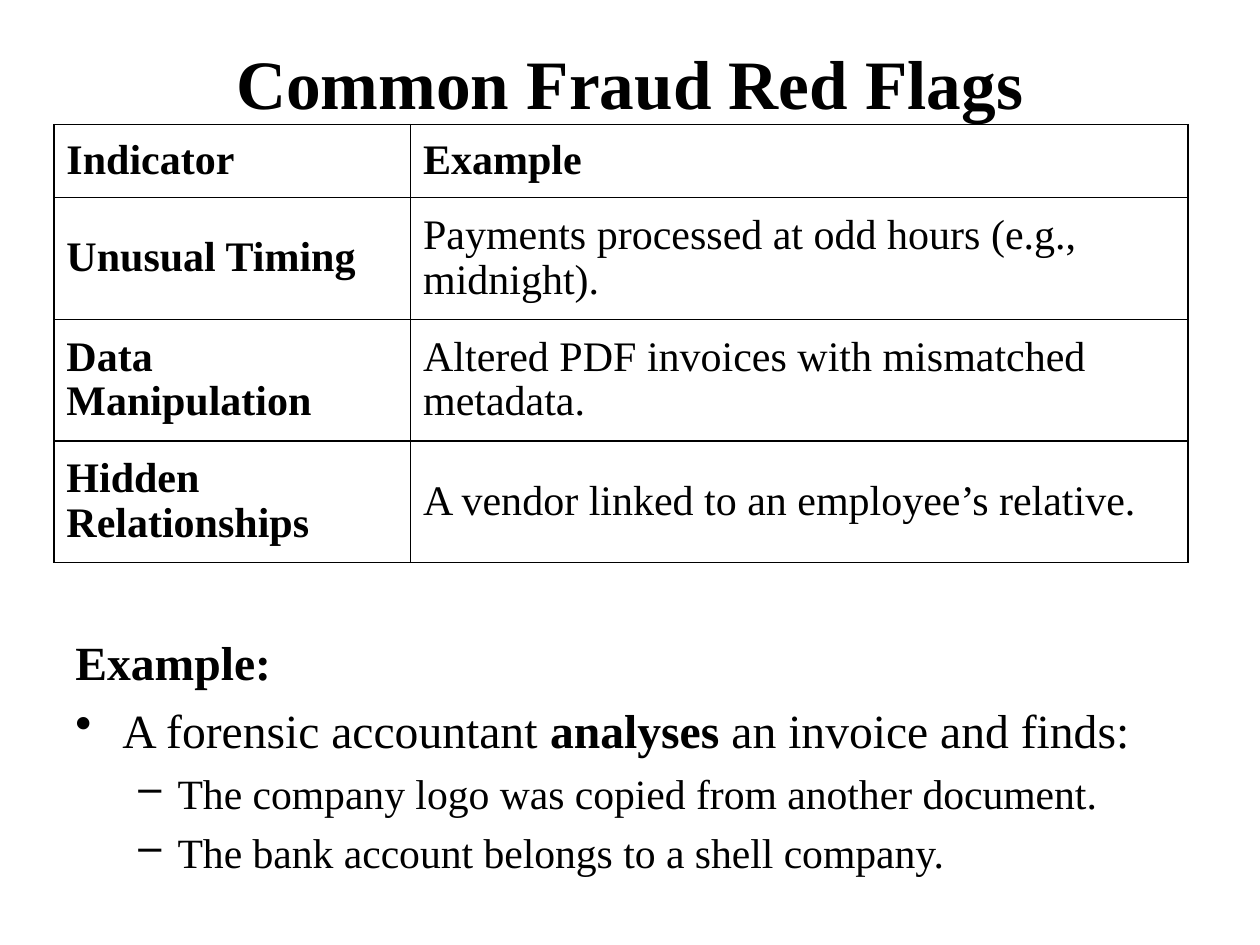
import dataclasses
import typing

import lxml.etree
import pptx
import pptx.dml.color
import pptx.enum.text
import pptx.oxml.ns
import pptx.util

Cm = pptx.util.Cm
Pt = pptx.util.Pt
qn = pptx.oxml.ns.qn

FONT = "Times New Roman"
HUES = {"ink": "000000", "page": "FFFFFF"}
LEFT, WIDTH = 1.27, 22.86


@dataclasses.dataclass
class Line:
    runs: list[tuple[str, bool]]
    size: float
    mark: str = ""
    level: int = 0
    indent: float = 0
    hang: float = 0
    before: float = 0


FLAGS = [
    ("Indicator", "Example"),
    ("Unusual Timing", "Payments processed at odd hours (e.g., midnight)."),
    ("Data Manipulation", "Altered PDF invoices with mismatched metadata."),
    ("Hidden Relationships", "A vendor linked to an employee’s relative."),
]
COLS = (7.19, 15.67)
ROWS = (1.47, 2.4, 2.4, 2.4)

MAIN = {"size": 27.2, "mark": "•", "indent": 0.95, "hang": 0.95, "before": 6.3}
SUB = {"size": 23.8, "mark": "–", "level": 1, "indent": 2.06, "hang": 0.79,
       "before": 5.5}
CASE = [
    Line([("Example:", True)], 27.2),
    Line([("A forensic accountant ", False), ("analyses", True),
          (" an invoice and finds:", False)], **MAIN),
    Line([("The company logo was copied from another document.", False)], **SUB),
    Line([("The bank account belongs to a shell company.", False)], **SUB),
]


def color(name: str) -> pptx.dml.color.RGBColor:
    return pptx.dml.color.RGBColor.from_string(HUES[name])


def write(para: typing.Any, text: str, *, size: float, bold: bool = False) -> None:
    run = para.add_run()
    run.text = text
    run.font.name = FONT
    run.font.size = Pt(size)
    run.font.bold = bold
    run.font.color.rgb = color("ink")


def add_box(slide: typing.Any, top: float, height: float) -> typing.Any:
    """Add a full-width text box with no inset above or below."""
    box = slide.shapes.add_textbox(Cm(LEFT), Cm(top), Cm(WIDTH), Cm(height))
    frame = box.text_frame
    frame.word_wrap = True
    frame.margin_top = frame.margin_bottom = 0
    return frame


def add_title(slide: typing.Any, text: str) -> None:
    para = add_box(slide, 0.81, 1.6).paragraphs[0]
    para.alignment = pptx.enum.text.PP_ALIGN.CENTER
    write(para, text, size=39.6, bold=True)


def add_lines(slide: typing.Any, lines: list[Line]) -> None:
    frame = add_box(slide, 12.75, 4.8)
    for i, line in enumerate(lines):
        para = frame.add_paragraph() if i else frame.paragraphs[0]
        para.level = line.level
        para.space_before = Pt(line.before)
        if line.mark:
            props = para._p.get_or_add_pPr()
            props.set("marL", str(Cm(line.indent)))
            props.set("indent", str(-Cm(line.hang)))
            lxml.etree.SubElement(props, qn("a:buChar"), char=line.mark)
        for text, bold in line.runs:
            write(para, text, size=line.size, bold=bold)


def add_edges(cell: typing.Any) -> None:
    """Draw a one-point line on all four sides of a cell."""
    props = cell._tc.get_or_add_tcPr()
    for side in ("lnL", "lnR", "lnT", "lnB"):
        edge = lxml.etree.SubElement(props, qn(f"a:{side}"), w=str(Pt(1)))
        fill = lxml.etree.SubElement(edge, qn("a:solidFill"))
        lxml.etree.SubElement(fill, qn("a:srgbClr"), val=HUES["ink"])


def add_grid(slide: typing.Any) -> None:
    table = slide.shapes.add_table(
        len(ROWS), len(COLS), Cm(1.09), Cm(2.51), Cm(sum(COLS)), Cm(sum(ROWS))
    ).table
    table.first_row = table.horz_banding = False
    for col, width in zip(table.columns, COLS):
        col.width = Cm(width)
    for r, (row, texts) in enumerate(zip(table.rows, FLAGS)):
        row.height = Cm(ROWS[r])
        for c, text in enumerate(texts):
            cell = table.cell(r, c)
            cell.margin_left = cell.margin_right = Cm(0.25)
            cell.margin_top = cell.margin_bottom = Cm(0.25)
            cell.vertical_anchor = pptx.enum.text.MSO_ANCHOR.MIDDLE
            add_edges(cell)
            cell.fill.background()
            para = cell.text_frame.paragraphs[0]
            para.line_spacing = 0.96
            write(para, text, size=24, bold=r == 0 or c == 0)


def main() -> None:
    deck = pptx.Presentation()
    deck.slide_width, deck.slide_height = Cm(25.4), Cm(19.05)
    slide = deck.slides.add_slide(deck.slide_layouts[6])
    slide.background.fill.solid()
    slide.background.fill.fore_color.rgb = color("page")
    add_title(slide, "Common Fraud Red Flags")
    add_lines(slide, CASE)
    add_grid(slide)
    deck.save("out.pptx")


if __name__ == "__main__":
    main()
